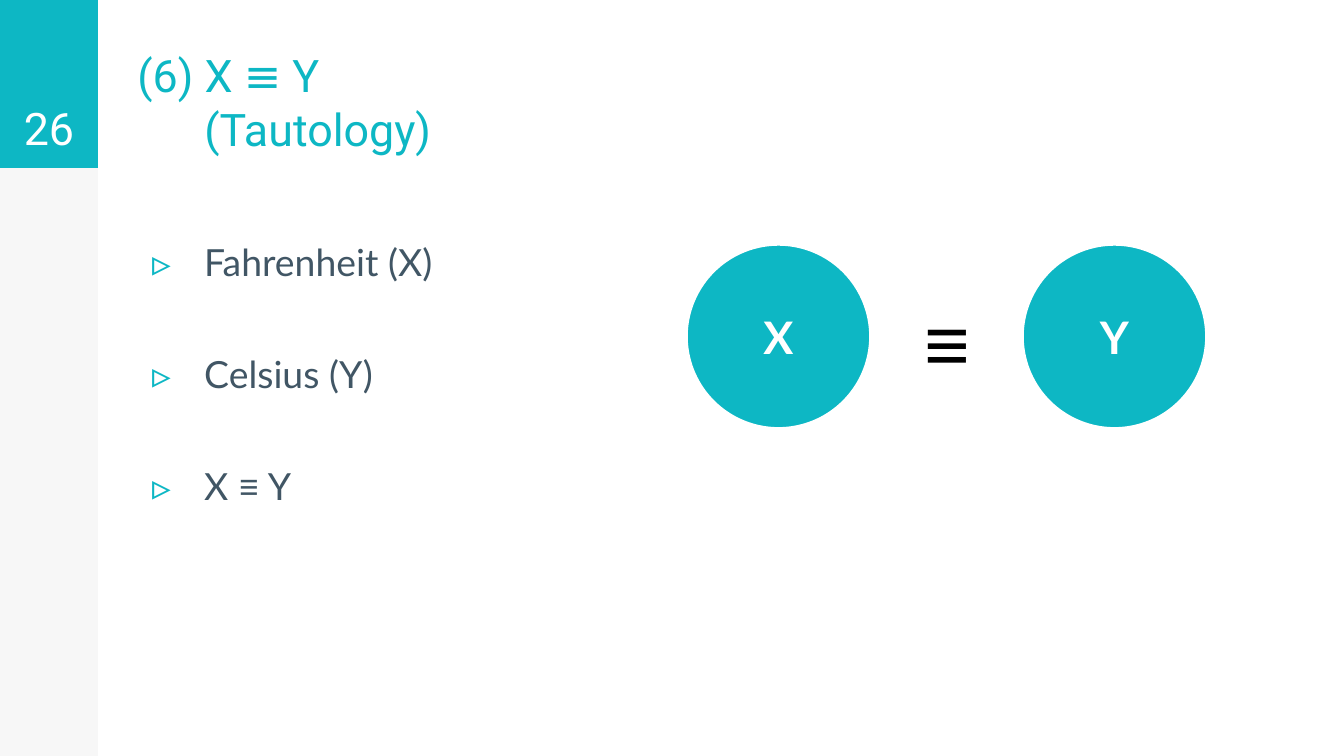
from dataclasses import dataclass

from lxml import etree
from pptx import Presentation
from pptx import util as u
from pptx.dml.color import RGBColor
from pptx.enum import shapes, text
from pptx.oxml.ns import qn

PX = 914400 / 134.4


@dataclass(frozen=True)
class Theme:
    teal: str = "0DB7C4"
    slate: str = "415665"
    grey: str = "F7F7F7"
    white: str = "FFFFFF"
    black: str = "000000"
    head: str = "Roboto"
    body: str = "Lato"
    sign: str = "Arial"
    big: int = 24
    mid: int = 20
    huge: int = 42
    gap: int = 36


T = Theme()
LEFT, MID = text.PP_ALIGN.LEFT, text.PP_ALIGN.CENTER
TOP, CENTRE, LOW = (text.MSO_ANCHOR.TOP, text.MSO_ANCHOR.MIDDLE,
                    text.MSO_ANCHOR.BOTTOM)


def px(n):
    return round(n * PX)


def write(shape, lines, face, size, color, align=LEFT, anchor=TOP, bold=False):
    """Fill a shape with one paragraph per line and return the paragraphs."""
    frame = shape.text_frame
    frame.text = "\n".join(lines)
    form = {"word_wrap": True, "auto_size": text.MSO_AUTO_SIZE.NONE,
            "vertical_anchor": anchor}
    for side in ("left", "top", "right", "bottom"):
        form["margin_" + side] = u.Inches(0.1)
    for key, val in form.items():
        setattr(frame, key, val)
    for para in frame.paragraphs:
        para.alignment = align
        font = para.runs[0].font
        for key, val in {"name": face, "size": u.Pt(size), "bold": bold}.items():
            setattr(font, key, val)
        font.color.rgb = RGBColor.from_string(color)
    return frame.paragraphs


def block(slide, kind, box, fill, edge=None):
    shape = slide.shapes.add_shape(kind, *map(px, box))
    shape.shadow.inherit = False
    shape.fill.solid()
    shape.fill.fore_color.rgb = RGBColor.from_string(fill)
    if edge:
        shape.line.color.rgb = RGBColor.from_string(edge)
        shape.line.width = u.Pt(3)
    else:
        shape.line.fill.background()
    return shape


def label(slide, box, lines, *style):
    return write(slide.shapes.add_textbox(*map(px, box)), lines, *style)


def title(slide, box, lines):
    shape = slide.shapes.title
    for key, val in zip(("left", "top", "width", "height"), box):
        setattr(shape, key, px(val))
    paras = write(shape, lines, T.head, T.big, T.teal, LEFT, LOW)
    paras[1]._p.get_or_add_pPr().set("marL", str(px(67)))


def bullets(slide, box, lines):
    paras = label(slide, box, lines, T.body, T.mid, T.slate)
    for i, para in enumerate(paras):
        if i:
            para.space_before = u.Pt(T.gap)
        props = para._p.get_or_add_pPr()
        props.set("marL", str(px(67)))
        props.set("indent", str(px(-52)))
        tint = etree.SubElement(props, qn("a:buClr"))
        etree.SubElement(tint, qn("a:srgbClr"), val=T.teal)
        etree.SubElement(props, qn("a:buFont"), typeface=T.body)
        etree.SubElement(props, qn("a:buChar"), char="▹")


def main():
    deck = Presentation()
    deck.slide_width, deck.slide_height = px(1344), px(756)
    slide = deck.slides.add_slide(deck.slide_layouts[5])
    rect, oval = shapes.MSO_SHAPE.RECTANGLE, shapes.MSO_SHAPE.OVAL

    block(slide, rect, (0, 0, 98, 756), T.grey)
    page = block(slide, rect, (0, 0, 98, 168), T.teal)
    write(page, ["26"], T.head, T.big, T.white, MID, LOW)

    title(slide, (124, 1, 523, 168), ["(6) X ≡ Y", "(Tautology)"])
    bullets(slide, (124, 226, 700, 499),
            ["Fahrenheit (X)", "Celsius (Y)", "X ≡ Y"])

    for i, name in enumerate("XY"):
        disc = block(slide, oval, (685 + 336 * i, 243, 187, 187),
                     T.teal, T.white)
        write(disc, [name], T.body, T.big, T.white, MID, CENTRE, True)
    label(slide, (911, 281, 98, 106), ["≡"], T.sign, T.huge, T.black)

    deck.save("out.pptx")


if __name__ == "__main__":
    main()
